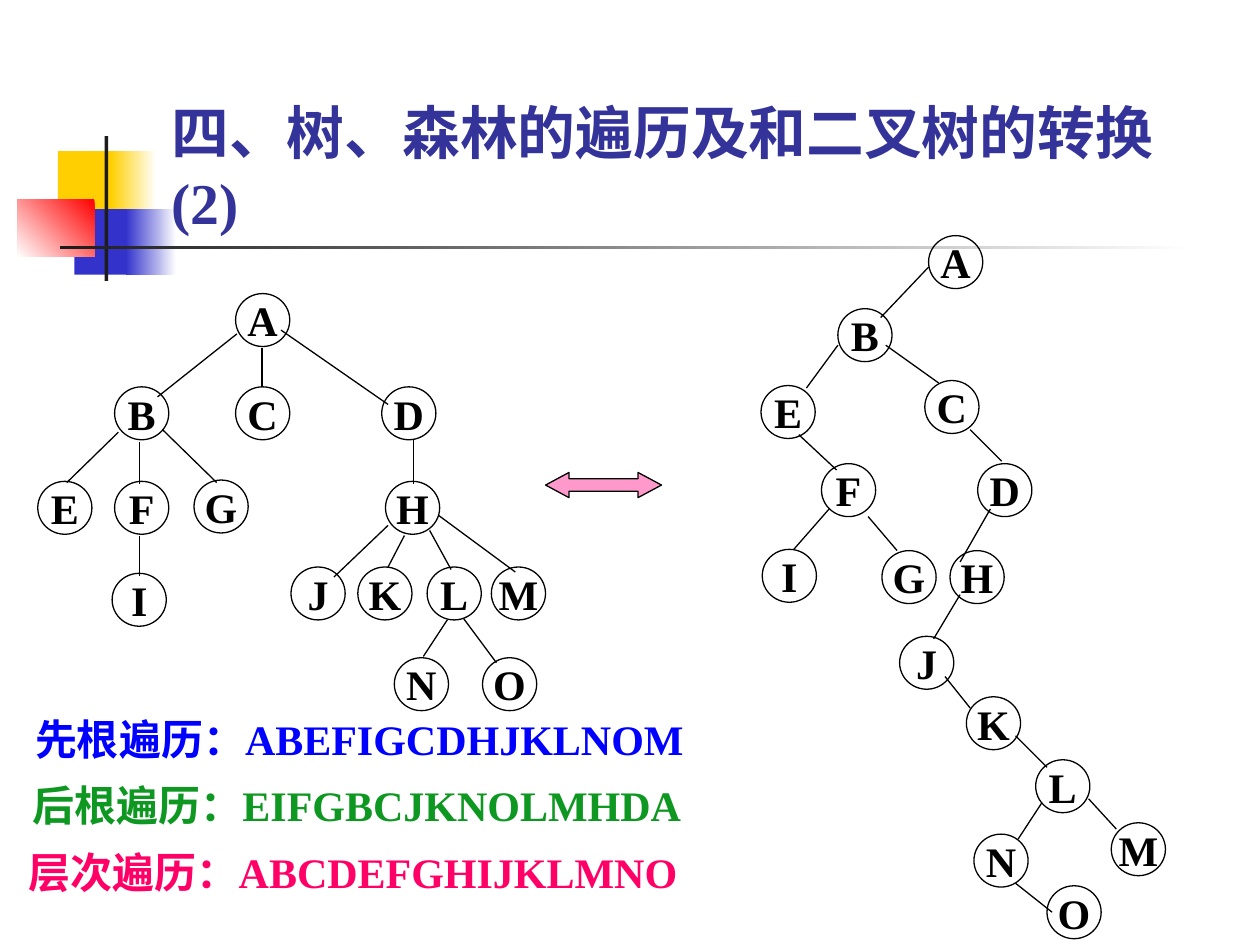
"""Build a slide on traversing trees and converting them to binary trees."""
from lxml import etree
from pptx import Presentation
from pptx import util as u
from pptx.dml.color import RGBColor
from pptx.enum import shapes, text
from pptx.oxml import ns

COLORS = {
    "yellow": "FFCF01", "blue": "3333CC", "red": "FF0000", "white": "FFFFFF",
    "dark": "1C1C1C", "title": "333399", "black": "000000", "pink": "FF99CC",
    "preorder": "0000FF", "postorder": "0E9822", "levels": "FF0066",
}
RGB = {name: RGBColor.from_string(value) for name, value in COLORS.items()}
FONT = {"name": "Times New Roman", "bold": True}
NODE_W, NODE_H = 0.43, 0.42
NODE_FRAME = {"word_wrap": False, "vertical_anchor": text.MSO_ANCHOR.MIDDLE}
TEXT_FRAME = {**NODE_FRAME, "auto_size": text.MSO_AUTO_SIZE.SHAPE_TO_FIT_TEXT}
TITLE_FRAME = {"word_wrap": True, "vertical_anchor": text.MSO_ANCHOR.BOTTOM,
               "auto_size": text.MSO_AUTO_SIZE.NONE}


def write(sp, words, size, color, align, frame):
    """Fill a shape with one formatted line of text."""
    tf = sp.text_frame
    for key, value in frame.items():
        setattr(tf, key, value)
    p = tf.paragraphs[0]
    p.alignment = align
    r = p.add_run()
    r.text = words
    for key, value in {**FONT, "size": u.Pt(size)}.items():
        setattr(r.font, key, value)
    r.font.color.rgb = RGB[color]
    ea = etree.SubElement(r._r.get_or_add_rPr(), ns.qn("a:ea"))
    ea.set("typeface", "Noto Sans CJK SC")


def add_shape(parent, kind, box, fill=None, line=None, angle=None):
    """Add a preset shape with a plain, gradient or empty fill."""
    sp = parent.add_shape(kind, *map(u.Inches, box))
    sp.shadow.inherit = False
    if angle is not None:
        sp.fill.gradient()
        sp.fill.gradient_angle = angle
        for stop, position, color in zip(sp.fill.gradient_stops, (0, 1), fill):
            stop.position = position
            stop.color.rgb = RGB[color]
    elif fill:
        sp.fill.solid()
        sp.fill.fore_color.rgb = RGB[fill]
    else:
        sp.fill.background()
    if line:
        sp.line.color.rgb = RGB[line]
        sp.line.width = u.Pt(0.75)
    else:
        sp.line.fill.background()
    return sp


prs = Presentation()
prs.slide_width, prs.slide_height = u.Inches(10), u.Inches(7.5)
s = prs.slides.add_slide(prs.slide_layouts[5])

ornaments = [
    ((0.46, 1.2, 0.48, 0.52), "yellow", None),
    ((0.88, 1.2, 0.36, 0.52), ("white", "yellow"), 180),
    ((0.59, 1.66, 0.46, 0.52), "blue", None),
    ((1, 1.66, 0.4, 0.52), ("white", "blue"), 180),
    ((0.14, 1.58, 0.61, 0.46), ("red", "white"), 225),
    ((0.83, 1.08, 0.03, 1.15), "dark", None),
    ((0.48, 1.95, 9, 0.03), ("white", "dark"), 180),
]
for box, fill, angle in ornaments:
    add_shape(s.shapes, shapes.MSO_SHAPE.RECTANGLE, box, fill, angle=angle)

title = s.shapes.title
for key, value in zip(("left", "top", "width", "height"), (1.26, 0.67, 8.52, 1.25)):
    setattr(title, key, u.Inches(value))
write(title, "四、树、森林的遍历及和二叉树的转换(2)", 33, "title",
      text.PP_ALIGN.LEFT, TITLE_FRAME)
s.shapes._spTree.append(title._element)

general_tree = {
    "nodes": {
        "A": (1.87, 2.33), "B": (0.91, 3.07), "C": (1.87, 3.07), "D": (3.03, 3.07),
        "E": (0.3, 3.82), "F": (0.91, 3.82), "G": (1.54, 3.81), "H": (3.06, 3.82),
        "I": (0.89, 4.55), "J": (2.31, 4.5), "K": (2.84, 4.5), "L": (3.39, 4.5),
        "M": (3.9, 4.5), "N": (3.13, 5.22), "O": (3.83, 5.22),
    },
    "edges": [
        (2.08, 2.76, 2.08, 3.07), (2.23, 2.62, 3.08, 3.21), (1.88, 2.65, 1.25, 3.15),
        (1.11, 3.51, 1.11, 3.84), (0.94, 3.43, 0.53, 3.83), (1.29, 3.41, 1.72, 3.83),
        (1.11, 4.25, 1.11, 4.57), (3.28, 3.49, 3.28, 3.84), (3.21, 4.25, 3.08, 4.5),
        (3.08, 4.17, 2.65, 4.58), (3.41, 4.21, 3.58, 4.52), (3.48, 4.09, 4.09, 4.54),
        (3.55, 4.92, 3.36, 5.21), (3.68, 4.91, 3.94, 5.26),
    ],
}
binary_tree = {
    "nodes": {
        "A": (7.37, 1.87), "B": (6.65, 2.45), "C": (7.34, 3.02), "D": (7.76, 3.68),
        "E": (6.04, 3.06), "F": (6.52, 3.68), "G": (7, 4.37), "H": (7.54, 4.37),
        "I": (6.05, 4.36), "J": (7.14, 5.05), "K": (7.67, 5.53), "L": (8.22, 6.03),
        "M": (8.82, 6.53), "N": (7.73, 6.62), "O": (8.31, 7.03),
    },
    "edges": [
        (7.86, 4.04, 7.62, 4.46), (6.34, 3.45, 6.64, 3.73), (7.37, 2.12, 6.99, 2.52),
        (7.7, 3.41, 7.95, 3.66), (6.65, 2.74, 6.4, 3.08), (7.03, 2.74, 7.45, 3.04),
        (6.58, 4.04, 6.3, 4.36), (6.89, 4.1, 7.12, 4.37), (7.5, 5.37, 7.7, 5.62),
        (7.62, 4.72, 7.41, 5.07), (8.06, 5.84, 8.31, 6.09), (8.64, 6.34, 8.86, 6.58),
        (8.27, 6.37, 8.08, 6.66), (8.06, 7.01, 8.35, 7.24),
    ],
}
for tree in (general_tree, binary_tree):
    group = s.shapes.add_group_shape().shapes
    for label, (x, y) in tree["nodes"].items():
        node = add_shape(group, shapes.MSO_SHAPE.OVAL, (x, y, NODE_W, NODE_H), line="black")
        write(node, label, 24, "black", text.PP_ALIGN.CENTER, NODE_FRAME)
    for ends in tree["edges"]:
        edge = group.add_connector(shapes.MSO_CONNECTOR.STRAIGHT, *map(u.Inches, ends))
        edge.line.color.rgb = RGB["black"]
        edge.line.width = u.Pt(0.75)
        etree.SubElement(edge._element.spPr, ns.qn("a:effectLst"))

traversals = [
    (0.18, "先根遍历：ABEFIGCDHJKLNOM", "preorder"),
    (0.16, "后根遍历：EIFGBCJKNOLMHDA", "postorder"),
    (0.13, "层次遍历：ABCDEFGHIJKLMNO", "levels"),
]
for row, (x, words, color) in enumerate(traversals):
    box = s.shapes.add_textbox(*map(u.Inches, (x, 5.61 + 0.53 * row, 5.43, 0.5)))
    write(box, words, 24, color, text.PP_ALIGN.LEFT, TEXT_FRAME)

arrow = add_shape(s.shapes, shapes.MSO_SHAPE.LEFT_RIGHT_ARROW,
                  (4.33, 3.75, 0.92, 0.2), "pink", "black")
arrow.adjustments[0], arrow.adjustments[1] = 0.5, 0.93

prs.save("out.pptx")
